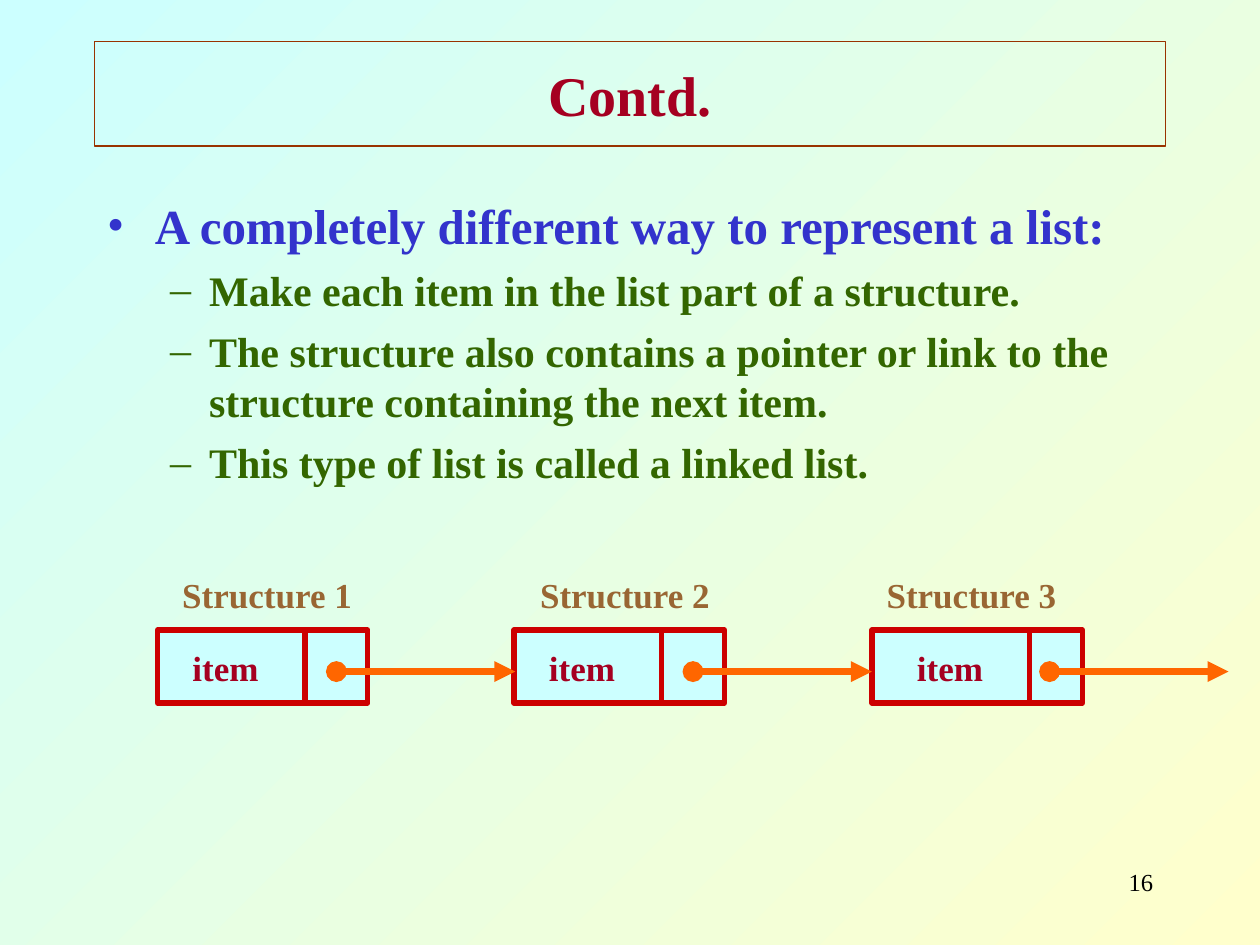
import dataclasses
import typing

import lxml.etree
import pptx
import pptx.dml.color
import pptx.enum.shapes
import pptx.enum.text
import pptx.oxml.ns
import pptx.util

Inches = pptx.util.Inches
Pt = pptx.util.Pt
Align = pptx.enum.text.PP_ALIGN
AutoSize = pptx.enum.text.MSO_AUTO_SIZE
FONT = "Times New Roman"
CRIMSON, RED, ORANGE, BROWN = "A50021", "CC0000", "FF6600", "996633"
BLUE, GREEN, PALE_BLUE, PALE_YELLOW = "3333CC", "336600", "CCFFFF", "FFFFCC"
NODE_TOP, NODE_WIDTH, NODE_HEIGHT = 5, 1.67, 0.58
LINK_Y, LINK_LENGTH = 5.33, 1.42


@dataclasses.dataclass(frozen=True)
class Node:
    label: str
    left: float
    divider: float
    link: float
    label_left: float
    item_left: float


@dataclasses.dataclass(frozen=True)
class Level:
    depth: int
    indent: float
    hanging: float
    before: float
    bullet: str
    size: int
    color: str


POINT = Level(0, 0.38, 0.38, 0, "•", 28, BLUE)
SUBPOINT = Level(1, 0.81, 0.31, 6, "–", 24, GREEN)
OUTLINE = [
    (POINT, "A completely different way to represent a list:"),
    (SUBPOINT, "Make each item in the list part of a structure."),
    (SUBPOINT, "The structure also contains a pointer or link to the "
               "structure containing the next item."),
    (SUBPOINT, "This type of list is called a linked list."),
]
NODES = [
    Node("Structure 1", 1.25, 2.42, 2.67, 1.08, 1.25),
    Node("Structure 2", 4.08, 5.25, 5.5, 3.92, 4.08),
    Node("Structure 3", 6.92, 8.17, 8.33, 6.67, 7),
]


def rgb(value: str) -> pptx.dml.color.RGBColor:
    return pptx.dml.color.RGBColor.from_string(value)


def apply(target: typing.Any, formats: dict[str, typing.Any]) -> None:
    for attribute, value in formats.items():
        setattr(target, attribute, value)


def add_element(parent: typing.Any, tag: str, **attributes: str) -> typing.Any:
    return lxml.etree.SubElement(parent, pptx.oxml.ns.qn(tag), attributes)


def write(paragraph: typing.Any, text: str, size: int, color: str, bold: bool = True) -> None:
    run = paragraph.add_run()
    run.text = text
    apply(run.font, {"name": FONT, "size": Pt(size), "bold": bold})
    run.font.color.rgb = rgb(color)


def place(shape: typing.Any, left: float, top: float, width: float, height: float) -> None:
    apply(shape, {"left": Inches(left), "top": Inches(top),
                  "width": Inches(width), "height": Inches(height)})


def stroke(line: typing.Any, color: str, width: float) -> None:
    line.color.rgb = rgb(color)
    line.width = Pt(width)


def add_title(slide: typing.Any, text: str) -> None:
    title = slide.shapes.title
    place(title, 0.75, 0.33, 8.5, 0.83)
    stroke(title.line, "993300", 0.75)
    apply(title.text_frame, {"auto_size": AutoSize.NONE,
                             "vertical_anchor": pptx.enum.text.MSO_ANCHOR.MIDDLE})
    heading = title.text_frame.paragraphs[0]
    heading.alignment = Align.CENTER
    write(heading, text, 32, CRIMSON)


def add_outline(slide: typing.Any) -> None:
    body = slide.placeholders[1]
    place(body, 0.75, 1.5, 8.5, 5.17)
    frame = body.text_frame
    frame.auto_size = AutoSize.NONE
    for index, (level, text) in enumerate(OUTLINE):
        paragraph = frame.add_paragraph() if index else frame.paragraphs[0]
        properties = paragraph._p.get_or_add_pPr()
        properties.set("marL", str(Inches(level.indent)))
        properties.set("indent", str(-Inches(level.hanging)))
        add_element(add_element(properties, "a:buClr"), "a:srgbClr", val=level.color)
        add_element(properties, "a:buFont", typeface=FONT)
        add_element(properties, "a:buChar", char=level.bullet)
        apply(paragraph, {"level": level.depth, "space_before": Pt(level.before)})
        write(paragraph, text, level.size, level.color)


def add_text(slide: typing.Any, text: str, left: float, top: float, width: float,
             height: float, size: int, color: str, bold: bool = True,
             alignment: typing.Any = Align.CENTER,
             auto_size: typing.Any = AutoSize.SHAPE_TO_FIT_TEXT) -> None:
    box = slide.shapes.add_textbox(*map(Inches, (left, top, width, height)))
    apply(box.text_frame, {"word_wrap": True, "auto_size": auto_size})
    paragraph = box.text_frame.paragraphs[0]
    paragraph.alignment = alignment
    write(paragraph, text, size, color, bold)


def add_node_box(slide: typing.Any, node: Node) -> None:
    box = slide.shapes.add_shape(
        pptx.enum.shapes.MSO_SHAPE.RECTANGLE,
        *map(Inches, (node.left, NODE_TOP, NODE_WIDTH, NODE_HEIGHT)))
    box.shadow.inherit = False
    box.fill.solid()
    box.fill.fore_color.rgb = rgb(PALE_BLUE)
    stroke(box.line, RED, 3)


def add_line(slide: typing.Any, start: tuple[float, float], end: tuple[float, float],
             color: str, width: float, is_link: bool = False) -> None:
    line = slide.shapes.add_connector(
        pptx.enum.shapes.MSO_CONNECTOR.STRAIGHT, *map(Inches, start + end))
    stroke(line.line, color, width)
    if is_link:
        outline = line.line._get_or_add_ln()
        add_element(outline, "a:headEnd", type="oval")
        add_element(outline, "a:tailEnd", type="triangle")
    add_element(line._element.spPr, "a:effectLst")


def add_linked_list(slide: typing.Any) -> None:
    for node in NODES:
        add_node_box(slide, node)
    for node in NODES:
        add_line(slide, (node.divider, NODE_TOP),
                 (node.divider, NODE_TOP + NODE_HEIGHT), RED, 3)
        add_line(slide, (node.link, LINK_Y),
                 (node.link + LINK_LENGTH, LINK_Y), ORANGE, 4, True)
        add_text(slide, node.label, node.label_left, 4.5, 2.08, 0.44, 20, BROWN)
        add_text(slide, "item", node.item_left, 5.08, 1.08, 0.44, 20, CRIMSON)


def paint_background(slide: typing.Any) -> None:
    fill = slide.background.fill
    fill.gradient()
    fill.gradient_angle = 135
    for stop, color in zip(fill.gradient_stops, (PALE_YELLOW, PALE_BLUE)):
        stop.color.rgb = rgb(color)


def main() -> None:
    presentation = pptx.Presentation()
    apply(presentation, {"slide_width": Inches(10), "slide_height": Inches(7.5)})
    slide = presentation.slides.add_slide(presentation.slide_layouts[1])
    paint_background(slide)
    add_title(slide, "Contd.")
    add_outline(slide)
    add_linked_list(slide)
    add_text(slide, "16", 7.17, 6.83, 2.08, 0.5, 14, "000000", False,
             Align.RIGHT, AutoSize.NONE)
    presentation.save("out.pptx")


if __name__ == "__main__":
    main()
